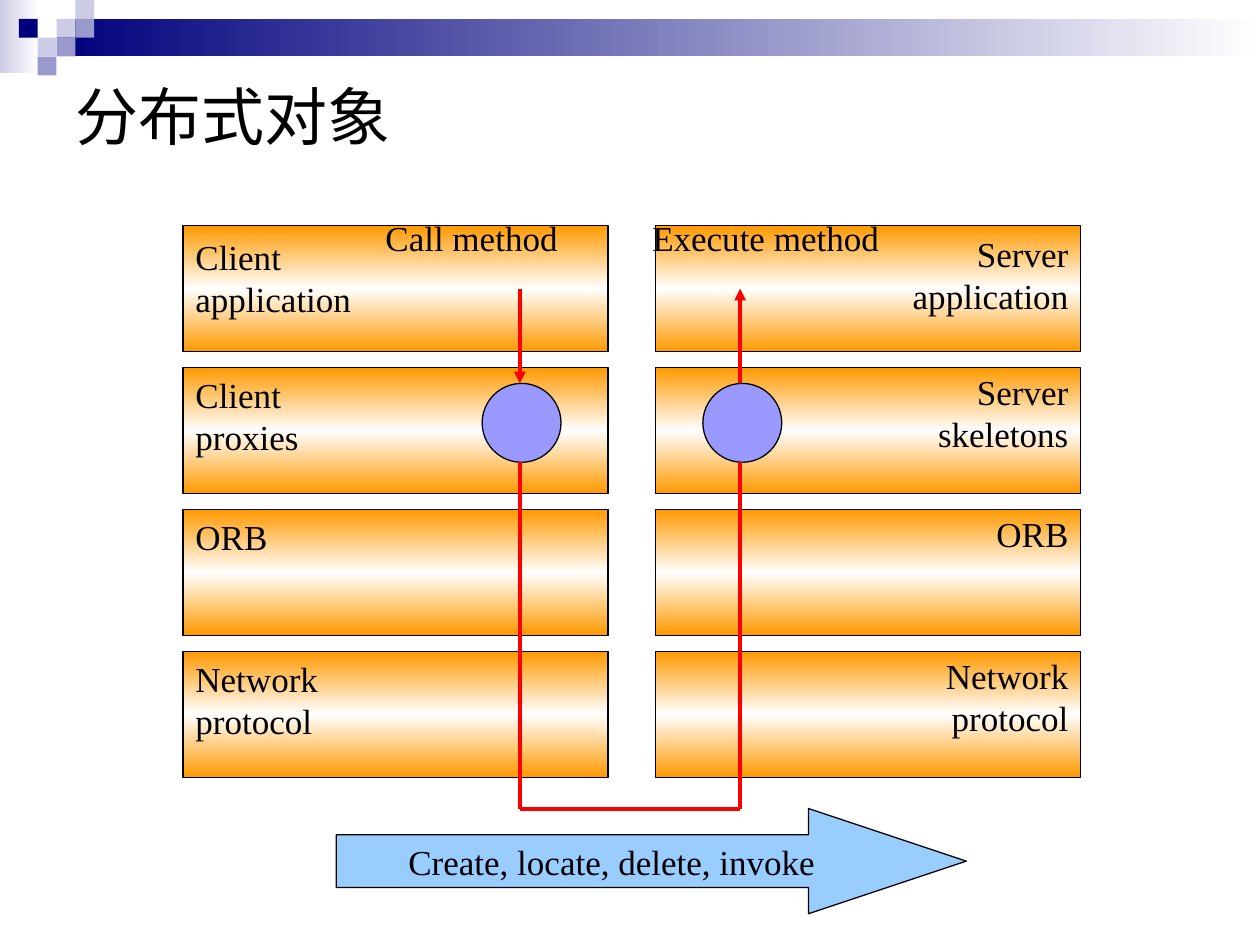
from copy import deepcopy

from lxml import etree
from pptx import Presentation
from pptx.dml.color import RGBColor
from pptx.enum.shapes import MSO_CONNECTOR, MSO_SHAPE
from pptx.enum.text import MSO_ANCHOR, MSO_AUTO_SIZE, PP_ALIGN
from pptx.oxml.ns import qn
from pptx.util import Cm, Pt

RECTANGLE = MSO_SHAPE.RECTANGLE
ELLIPSE = MSO_SHAPE.OVAL
RIGHT_ARROW = MSO_SHAPE.RIGHT_ARROW
STRAIGHT = MSO_CONNECTOR.STRAIGHT
LEFT, CENTER, RIGHT = PP_ALIGN.LEFT, PP_ALIGN.CENTER, PP_ALIGN.RIGHT
MIDDLE = MSO_ANCHOR.MIDDLE
GROW = MSO_AUTO_SIZE.SHAPE_TO_FIT_TEXT

FONT = "Times New Roman"
BLACK, WHITE, RED = "000000", "FFFFFF", "FA0000"
NAVY, LAVENDER, SLATE = "00007D", "CCCCE6", "9999CC"
ORANGE, VIOLET, SKY = "FF9900", "9999FF", "99CCFF"

UNIT = 0.38
SQUARES = [(3, 1, LAVENDER), (4, 0, LAVENDER), (4, 1, SLATE), (2, 2, LAVENDER),
           (1, 1, NAVY), (3, 2, SLATE), (2, 3, SLATE)]

LAYER_TOP, LAYER_PITCH = 4.55, 2.86
LAYER_WIDTH, LAYER_HEIGHT = 8.57, 2.54
LABEL_WIDTH = 4.45
CLIENT_LEFT, SERVER_LEFT = 3.69, 13.22
SIDES = [
    (CLIENT_LEFT, CLIENT_LEFT, 0, LEFT,
     ["Client application", "Client proxies", "ORB", "Network protocol"]),
    (SERVER_LEFT, SERVER_LEFT + LAYER_WIDTH - LABEL_WIDTH, -0.07, RIGHT,
     ["Server application", "Server skeletons", "ORB", "Network protocol"]),
]

CALL_X, EXECUTE_X = 10.48, 14.92
FLOW_TOP, CIRCLE_TOP, CIRCLE_BOTTOM, FLOW_BOTTOM = 5.82, 7.73, 9.32, 16.3
DIAMETER = CIRCLE_BOTTOM - CIRCLE_TOP


def color(value):
    return RGBColor.from_string(value)


class SlideBuilder:
    def __init__(self, page):
        self.page = page

    def set_text(self, frame, text, size=20, align=LEFT, before=0):
        frame.text = text
        para = frame.paragraphs[0]
        para.alignment = align
        para.space_before = Pt(before)
        for span in para.runs:
            span.font.name = FONT
            span.font.size = Pt(size)
            span.font.color.rgb = color(BLACK)

    def title(self, text, left, top, width, height):
        box = self.page.shapes.title
        box.left, box.top, box.width, box.height = map(Cm, (left, top, width, height))
        box.text_frame.vertical_anchor = MIDDLE
        self.set_text(box.text_frame, text, 36)

    def shape(self, kind, left, top, width, height, fill, outline=True):
        box = self.page.shapes.add_shape(kind, *map(Cm, (left, top, width, height)))
        box.shadow.inherit = False
        if outline:
            box.line.color.rgb = color(BLACK)
            box.line.width = Pt(0.75)
        else:
            box.line.fill.background()
        if fill:
            box.fill.solid()
            box.fill.fore_color.rgb = color(fill)
        return box

    def gradient(self, left, top, width, height, colors, angle, outline=False):
        box = self.shape(RECTANGLE, left, top, width, height, None, outline)
        box.fill.gradient()
        box.fill.gradient_angle = angle
        stop_list = next(box._element.spPr.iter(qn("a:gsLst")))
        while len(stop_list) < len(colors):
            stop_list.append(deepcopy(stop_list[0]))
        for index, stop in enumerate(box.fill.gradient_stops):
            stop.position = index / (len(colors) - 1)
            stop.color.rgb = color(colors[index])

    def label(self, text, left, top, width, height, align=LEFT):
        box = self.page.shapes.add_textbox(*map(Cm, (left, top, width, height)))
        box.text_frame.word_wrap = True
        box.text_frame.auto_size = GROW
        self.set_text(box.text_frame, text, align=align, before=12.5)

    def block_arrow(self, text, left, top, width, height):
        box = self.shape(RIGHT_ARROW, left, top, width, height, SKY)
        box.adjustments[0], box.adjustments[1] = 0.5, 1.5
        box.text_frame.word_wrap = False
        box.text_frame.vertical_anchor = MIDDLE
        self.set_text(box.text_frame, text, align=CENTER)

    def line(self, start_x, start_y, end_x, end_y, arrow=False):
        connector = self.page.shapes.add_connector(
            STRAIGHT, *map(Cm, (start_x, start_y, end_x, end_y)))
        connector.line.color.rgb = color(RED)
        connector.line.width = Pt(2.25)
        properties = connector._element.spPr
        if arrow:
            etree.SubElement(properties.find(qn("a:ln")), qn("a:tailEnd"), type="triangle")
        etree.SubElement(properties, qn("a:effectLst"))


def main():
    deck = Presentation()
    deck.slide_width, deck.slide_height = Cm(25.4), Cm(19.05)
    builder = SlideBuilder(deck.slides.add_slide(deck.slide_layouts[5]))

    builder.gradient(0, 0, 0.79, 1.47, [LAVENDER, WHITE], 0)
    builder.gradient(3 * UNIT, UNIT, 25.4 - 3 * UNIT, 2 * UNIT, [NAVY, WHITE], 0)
    for column, row, fill in SQUARES:
        builder.shape(RECTANGLE, column * UNIT, row * UNIT, UNIT, UNIT, fill, outline=False)
    builder.title("分布式对象", 1.27, 1.27, 22.86, 2.11)

    for layer_left, label_left, shift, align, names in SIDES:
        for row, name in enumerate(names):
            top = LAYER_TOP + row * LAYER_PITCH
            builder.gradient(layer_left, top, LAYER_WIDTH, LAYER_HEIGHT,
                             [ORANGE, WHITE, ORANGE], 90, outline=True)
            label_top = top + shift + (0.08 if row == 0 else 0)
            label_height = 1.96 if " " in name else 1.12
            builder.label(name, label_left, label_top, LABEL_WIDTH, label_height, align)

    for left in (9.72, 14.17):
        builder.shape(ELLIPSE, left, CIRCLE_TOP, DIAMETER, DIAMETER, VIOLET)
    builder.label("Call method", 7.52, 4.24, 5.41, 1.12)
    builder.label("Execute method", 12.9, 4.24, 6.68, 1.12)

    builder.line(CALL_X, FLOW_TOP, CALL_X, CIRCLE_TOP, arrow=True)
    builder.line(CALL_X, CIRCLE_BOTTOM, CALL_X, FLOW_BOTTOM)
    builder.line(CALL_X, FLOW_BOTTOM, EXECUTE_X, FLOW_BOTTOM)
    builder.line(EXECUTE_X, FLOW_BOTTOM, EXECUTE_X, CIRCLE_BOTTOM)
    builder.line(EXECUTE_X, CIRCLE_TOP, EXECUTE_X, FLOW_TOP, arrow=True)
    builder.block_arrow("Create, locate, delete, invoke", 6.78, FLOW_BOTTOM, 12.7, 2.12)

    deck.save("out.pptx")


if __name__ == "__main__":
    main()
